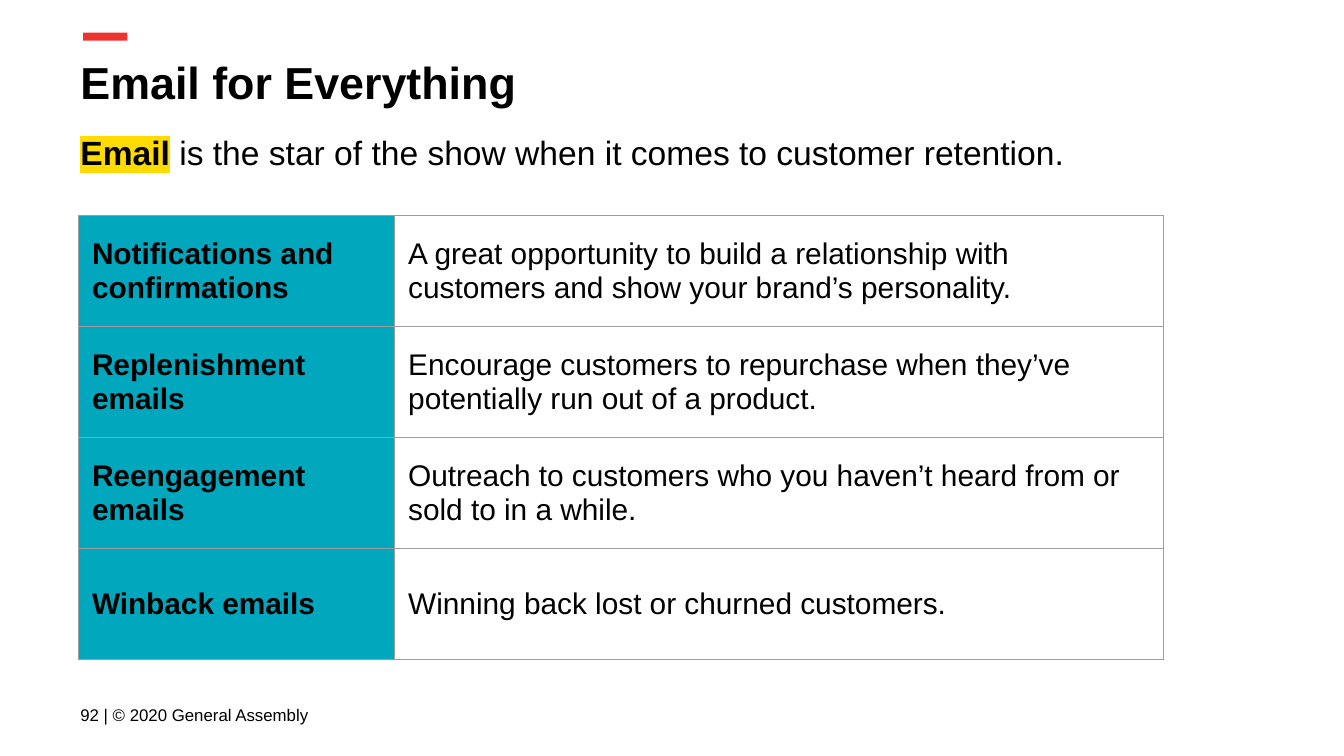
"""Build the "Email for Everything" slide with its table of email types."""
import lxml.etree
import pptx
import pptx.dml.color
import pptx.enum.shapes
import pptx.enum.text
import pptx.oxml.ns
import pptx.util

Pt = pptx.util.Pt
RGB = pptx.dml.color.RGBColor
qn = pptx.oxml.ns.qn
MIDDLE = pptx.enum.text.MSO_ANCHOR.MIDDLE
COLORS = {
    "text": "000000",
    "accent": "ED332F",
    "highlight": "FFDB00",
    "label": "00A7BD",
    "border": "9E9E9E",
}
INSET = Pt(7.2)


def add_text(para, text, size=16, bold=False, highlight=None):
    span = para.add_run()
    span.text = text
    span.font.name = "Arial"
    span.font.size = Pt(size)
    span.font.bold = bold
    span.font.color.rgb = RGB.from_string(COLORS["text"])
    if highlight:
        mark = lxml.etree.Element(qn("a:highlight"))
        lxml.etree.SubElement(mark, qn("a:srgbClr"), val=highlight)
        span.font._element.find(qn("a:solidFill")).addnext(mark)


def add_box(page, left, top, width, height):
    frame = page.shapes.add_textbox(Pt(left), Pt(top), Pt(width), Pt(height)).text_frame
    frame.word_wrap = True
    frame.margin_left = frame.margin_right = INSET
    frame.margin_top = frame.margin_bottom = INSET
    return frame


deck = pptx.Presentation()
deck.slide_width, deck.slide_height = Pt(720), Pt(405)
page = deck.slides.add_slide(deck.slide_layouts[6])

accent = page.shapes.add_shape(
    pptx.enum.shapes.MSO_SHAPE.RECTANGLE, Pt(44.5), Pt(17.5), Pt(23.8), Pt(4.3)
)
accent.shadow.inherit = False
accent.fill.solid()
accent.fill.fore_color.rgb = RGB.from_string(COLORS["accent"])
accent.line.fill.background()

title = add_box(page, 36, 22.3, 671, 45.4)
add_text(title.paragraphs[0], "Email for Everything", size=24, bold=True)

footer = add_box(page, 36, 367.2, 225.4, 31)
footer.vertical_anchor = MIDDLE
add_text(footer.paragraphs[0], "92 | © 2020 General Assembly", size=9)

rows = [
    ("Notifications and confirmations",
     "A great opportunity to build a relationship with customers and show your brand’s personality."),
    ("Replenishment emails",
     "Encourage customers to repurchase when they’ve potentially run out of a product."),
    ("Reengagement emails",
     "Outreach to customers who you haven’t heard from or sold to in a while."),
    ("Winback emails", "Winning back lost or churned customers."),
]
widths = [169.4, 411.8]
row_height = 59.5
table = page.shapes.add_table(
    len(rows), len(widths), Pt(42.1), Pt(115.5), Pt(sum(widths)), Pt(row_height * len(rows))
).table
table.first_row = table.horz_banding = False
for column, width in zip(table.columns, widths):
    column.width = Pt(width)

for row_index, texts in enumerate(rows):
    table.rows[row_index].height = Pt(row_height)
    for column_index, text in enumerate(texts):
        is_label = column_index == 0
        cell = table.cell(row_index, column_index)
        cell.vertical_anchor = MIDDLE
        cell.margin_left = cell.margin_right = INSET
        cell.margin_top = cell.margin_bottom = INSET
        properties = cell._tc.get_or_add_tcPr()
        for side in ("a:lnL", "a:lnR", "a:lnT", "a:lnB"):
            border = lxml.etree.SubElement(properties, qn(side), w=str(Pt(0.75)))
            fill = lxml.etree.SubElement(border, qn("a:solidFill"))
            lxml.etree.SubElement(fill, qn("a:srgbClr"), val=COLORS["border"])
        if is_label:
            cell.fill.solid()
            cell.fill.fore_color.rgb = RGB.from_string(COLORS["label"])
        else:
            cell.fill.background()
        add_text(cell.text_frame.paragraphs[0], text, bold=is_label)

intro = add_box(page, 36, 60.5, 614.9, 38.2).paragraphs[0]
intro.line_spacing = 1.15
intro.space_after = Pt(16)
add_text(intro, "Email", size=18, bold=True, highlight=COLORS["highlight"])
add_text(intro, " ", size=18, bold=True)
add_text(intro, "is the star of the show when it comes to customer retention.", size=18)

deck.save("out.pptx")
